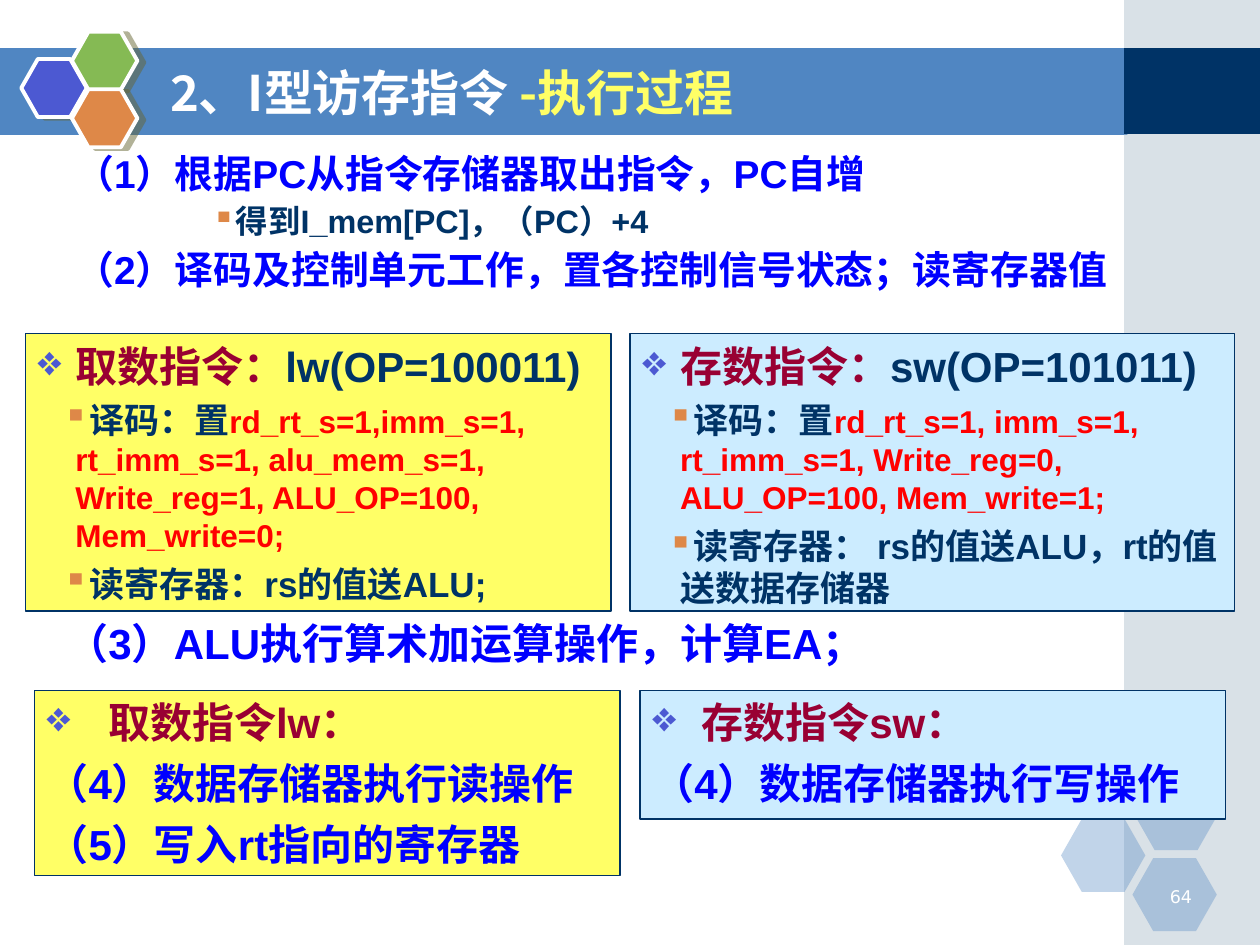
from lxml.etree import SubElement
from pptx import Presentation
from pptx.dml.color import RGBColor
from pptx.enum.shapes import MSO_SHAPE
from pptx.enum.text import MSO_ANCHOR, PP_ALIGN
from pptx.oxml.ns import qn
from pptx.util import Cm, Pt

WHITE = RGBColor(0xFF, 0xFF, 0xFF)
STEEL = RGBColor(0x50, 0x86, 0xC2)
NAVY = RGBColor(0x00, 0x33, 0x66)
SIDE_GREY = RGBColor(0xA0, 0xB5, 0xC4)
INDIGO = RGBColor(0x4C, 0x59, 0xD2)
GREEN = RGBColor(0x85, 0xBA, 0x54)
ORANGE = RGBColor(0xDE, 0x88, 0x48)
OLIVE = RGBColor(0x66, 0x66, 0x33)
YELLOW = RGBColor(0xFF, 0xFF, 0x66)
SKY = RGBColor(0xCC, 0xEC, 0xFF)
BLUE = RGBColor(0x00, 0x00, 0xFF)
RED = RGBColor(0xFF, 0x00, 0x00)
MAROON = RGBColor(0x99, 0x00, 0x33)

LATIN, CHINESE = "Arial", "Noto Sans CJK SC"
DIAMOND = ("❖", INDIGO)
SQUARE = ("▪", ORANGE)


def style_shape(shape, fill, alpha=None, line=None, weight=0.75):
    shape.shadow.inherit = False
    shape.fill.solid()
    shape.fill.fore_color.rgb = fill
    if alpha is not None:
        color = shape.fill._xPr.find(qn("a:solidFill"))[0]
        SubElement(color, qn("a:alpha"), val=str(alpha * 1000))
    if line is None:
        shape.line.fill.background()
    else:
        shape.line.color.rgb = line
        shape.line.width = Pt(weight)


def add_panel(page, left, top, width, height, fill, kind=MSO_SHAPE.RECTANGLE, **style):
    shape = page.shapes.add_shape(kind, Cm(left), Cm(top), Cm(width), Cm(height))
    style_shape(shape, fill, **style)
    return shape


def add_hexagon(page, left, top, width, height, fill, **style):
    shape = add_panel(page, left, top, width, height, fill, MSO_SHAPE.HEXAGON, **style)
    shape.adjustments[0] = 0.285
    shape.adjustments[1] = 1.155
    return shape


def add_shadow(shape):
    effects = shape._element.spPr.find(qn("a:effectLst"))
    shadow = SubElement(effects, qn("a:outerShdw"), dist=str(Pt(4.1)),
                        dir=str(14 * 60000), algn="ctr", rotWithShape="0")
    color = SubElement(shadow, qn("a:srgbClr"), val=str(OLIVE))
    SubElement(color, qn("a:alpha"), val="50000")


def add_textbox(page, left, top, width, height, anchor=MSO_ANCHOR.TOP):
    box = page.shapes.add_textbox(Cm(left), Cm(top), Cm(width), Cm(height))
    return prepare_text(box, anchor)


def prepare_text(box, anchor=MSO_ANCHOR.TOP):
    frame = box.text_frame
    frame.word_wrap = True
    frame.vertical_anchor = anchor
    return box


def write(box, *spans, size=24, color=BLUE, latin=LATIN, bold=True, before=6,
          indent=0, hang=0, bullet=None, spacing=None, align=PP_ALIGN.LEFT):
    """Add a paragraph; each span is a text or a (text, color, size) tuple."""
    frame = box.text_frame
    first = not frame.paragraphs[0].runs
    para = frame.paragraphs[0] if first else frame.add_paragraph()
    para.alignment = align
    para.space_before = Pt(0 if first else before)
    if spacing:
        para.line_spacing = spacing
    props = para._p.get_or_add_pPr()
    props.set("marL", str(Cm(indent)))
    props.set("indent", str(-Cm(hang)))
    if bullet:
        mark, mark_color = bullet
        holder = SubElement(props, qn("a:buClr"))
        SubElement(holder, qn("a:srgbClr"), val=str(mark_color))
        SubElement(props, qn("a:buChar"), char=mark)
    else:
        SubElement(props, qn("a:buNone"))
    for item in spans:
        text, tint, points = (item, color, size) if isinstance(item, str) else item
        span = para.add_run()
        span.text = text
        span.font.size = Pt(points)
        span.font.bold = bold
        span.font.color.rgb = tint
        span.font.name = latin
        SubElement(span._r.get_or_add_rPr(), qn("a:ea"), typeface=CHINESE)


def add_background(page):
    # Title band and side strip
    add_panel(page, 0, 0.97, 22.73, 1.75, STEEL)
    add_panel(page, 22.66, 0, 2.74, 19.05, SIDE_GREY, alpha=40)
    add_panel(page, 22.66, 0.97, 2.74, 1.73, NAVY)

    # Pale hexagons at the bottom
    for left, top in ((21.39, 16.51), (22.86, 15.67), (22.83, 17.3)):
        add_hexagon(page, left, top, 1.7, 1.47, STEEL, alpha=35)

    # Hexagon cluster beside the title
    for left, top, fill in ((0.43, 1.19, INDIGO), (1.45, 0.64, GREEN), (1.45, 1.8, ORANGE)):
        add_shadow(add_hexagon(page, left, top, 1.32, 1.17, fill, line=WHITE, weight=2.25))


def add_decode_panel(page, left, width, fill, heading, opcode, signals, registers):
    box = prepare_text(add_panel(page, left, 6.73, width, 5.59, fill, line=NAVY))
    write(box, heading, (opcode, NAVY, 24), color=MAROON,
          indent=0.76, hang=0.76, bullet=DIAMOND)
    detail = dict(size=20, color=NAVY, indent=0.76, hang=0.25, bullet=SQUARE)
    write(box, "译码：置", (signals, RED, 18), before=4.5, **detail)
    write(box, registers, before=5, **detail)


def add_memory_panel(page, left, height, fill, hang, heading, steps):
    box = prepare_text(add_panel(page, left, 13.92, 11.81, height, fill, line=NAVY))
    write(box, heading, color=MAROON, indent=hang, hang=hang, bullet=DIAMOND)
    for step in steps:
        write(box, step, indent=hang, hang=hang)


def main():
    deck = Presentation()
    deck.slide_width, deck.slide_height = Cm(25.4), Cm(19.05)
    page = deck.slides.add_slide(deck.slide_layouts[6])
    add_background(page)

    # Page number and title
    number = add_textbox(page, 23.01, 17.73, 1.27, 0.64)
    write(number, "64", size=10, color=WHITE, latin="DejaVu Sans", bold=False,
          align=PP_ALIGN.RIGHT)
    title = add_textbox(page, 3.18, 1.07, 18.62, 1.57, MSO_ANCHOR.MIDDLE)
    write(title, "2、I型访存指令 ", ("-执行过程", YELLOW, 28), size=28, color=WHITE,
          latin=CHINESE)

    # Steps 1 and 2
    steps = add_textbox(page, 1.27, 3, 23.24, 3.53)
    step = dict(size=22.2, indent=2.26, hang=2.26, spacing=0.9)
    write(steps, "（1）根据PC从指令存储器取出指令，PC自增", **step)
    write(steps, "得到I_mem[PC]，（PC）+4", size=18.5, color=NAVY, before=5,
          indent=3.23, hang=0.48, bullet=SQUARE, spacing=0.9)
    write(steps, "（2）译码及控制单元工作，置各控制信号状态；读寄存器值", **step)

    # Decoding of load and store
    add_decode_panel(
        page, 0.51, 11.81, YELLOW, "取数指令：", "lw(OP=100011)",
        "rd_rt_s=1,imm_s=1, rt_imm_s=1, alu_mem_s=1, Write_reg=1, ALU_OP=100, Mem_write=0;",
        "读寄存器：rs的值送ALU;")
    add_decode_panel(
        page, 12.7, 12.19, SKY, "存数指令：", "sw(OP=101011)",
        "rd_rt_s=1, imm_s=1, rt_imm_s=1, Write_reg=0, ALU_OP=100, Mem_write=1;",
        "读寄存器： rs的值送ALU，rt的值送数据存储器")

    # Step 3
    execute = add_textbox(page, 1.09, 12.32, 22.86, 1.6)
    write(execute, "（3）ALU执行算术加运算操作，计算EA；", indent=2.26, hang=2.26)

    # Memory access of load and store
    add_memory_panel(page, 0.69, 3.73, YELLOW, 1.24, "取数指令lw：",
                     ("（4）数据存储器执行读操作", "（5）写入rt指向的寄存器"))
    add_memory_panel(page, 12.9, 2.59, SKY, 0.99, "存数指令sw：",
                     ("（4）数据存储器执行写操作",))

    deck.save("out.pptx")


if __name__ == "__main__":
    main()
